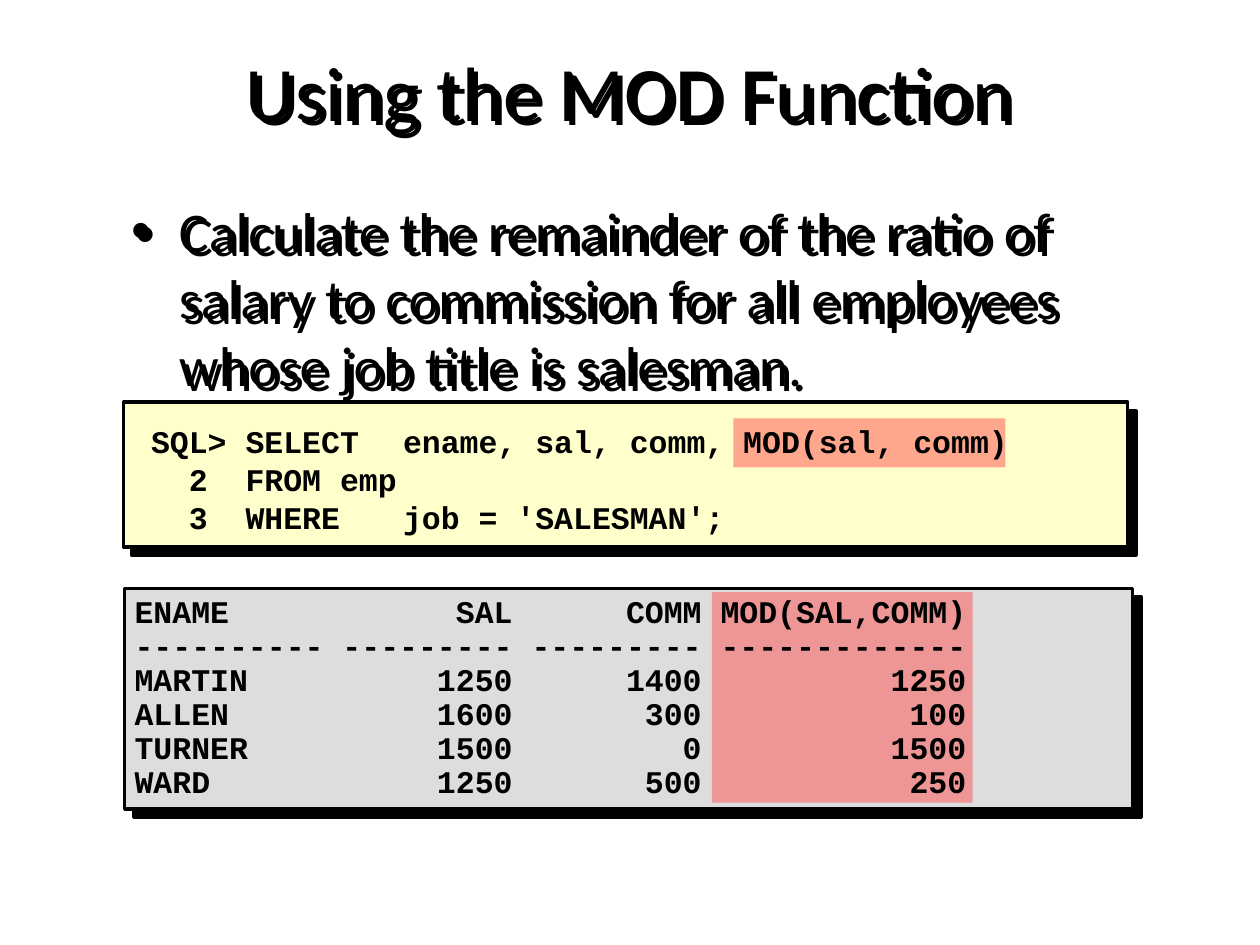
from lxml import etree
from pptx import Presentation
from pptx import util as u
from pptx.dml.color import RGBColor
from pptx.enum import shapes, text
from pptx.oxml import ns

COLORS = {"ink": "000000", "query": "FFFFCC", "result": "DDDDDD", "mark": "FF5050"}
QUERY = [
    "SQL> SELECT\tename, sal, comm, MOD(sal, comm)",
    "  2  FROM\temp",
    "  3  WHERE\tjob = 'SALESMAN';",
]
ROWS = [
    ("ENAME", "SAL", "COMM", "MOD(SAL,COMM)"),
    ("-" * 10, "-" * 9, "-" * 9, "-" * 13),
    ("MARTIN", 1250, 1400, 1250),
    ("ALLEN", 1600, 300, 100),
    ("TURNER", 1500, 0, 1500),
    ("WARD", 1250, 500, 250),
]


def rgb(name):
    return RGBColor.from_string(COLORS[name])


def add_shadow(sp, distance):
    sp.shadow.inherit = False
    effects = sp._element.spPr.find(ns.qn("a:effectLst"))
    shadow = etree.SubElement(effects, ns.qn("a:outerShdw"), dist=str(u.Pt(distance)),
                              dir="2700000", algn="ctr", rotWithShape="0")
    etree.SubElement(shadow, ns.qn("a:srgbClr"), val=COLORS["ink"])


def place(sp, box):
    sp.left, sp.top, sp.width, sp.height = map(u.Inches, box)


def format_runs(tf, font, size, bold=False):
    for p in tf.paragraphs:
        for r in p.runs:
            r.font.name = font
            r.font.size = u.Pt(size)
            r.font.bold = bold
            r.font.color.rgb = rgb("ink")


def fill_placeholder(sp, box, words, size):
    place(sp, box)
    add_shadow(sp, 3.5)
    tf = sp.text_frame
    tf.text = words
    tf.auto_size = text.MSO_AUTO_SIZE.NONE
    tf.vertical_anchor = text.MSO_ANCHOR.TOP
    format_runs(tf, "Calibri", size)
    return tf.paragraphs[0]


def add_bullet(p):
    pPr = p._p.get_or_add_pPr()
    pPr.set("marL", str(u.Inches(0.38)))
    pPr.set("indent", str(u.Inches(-0.38)))
    etree.SubElement(pPr, ns.qn("a:buChar"), char="•")
    p.space_before = u.Pt(0)


def add_rect(s, box, color):
    sp = s.shapes.add_shape(shapes.MSO_SHAPE.RECTANGLE, *map(u.Inches, box))
    sp.fill.solid()
    sp.fill.fore_color.rgb = rgb(color)
    return sp


def add_panel(s, box, color):
    sp = add_rect(s, box, color)
    sp.line.color.rgb = rgb("ink")
    sp.line.width = u.Pt(2)
    add_shadow(sp, 7.1)


def add_highlight(s, box):
    sp = add_rect(s, box, "mark")
    sp.shadow.inherit = False
    sp.line.fill.background()
    color = sp._element.spPr.find(ns.qn("a:solidFill"))[0]
    etree.SubElement(color, ns.qn("a:alpha"), val="50000")


def add_code(s, box, lines, spacing=1.0):
    tf = s.shapes.add_textbox(*map(u.Inches, box)).text_frame
    tf.word_wrap = True
    tf.text = "\n".join(lines)
    for p in tf.paragraphs:
        p.line_spacing = spacing
    format_runs(tf, "Courier New", 18, bold=True)


def main():
    """Build the slide on the MOD function."""
    prs = Presentation()
    prs.slide_width, prs.slide_height = u.Inches(10), u.Inches(7.5)
    s = prs.slides.add_slide(prs.slide_layouts[1])
    title, body = s.placeholders
    p = fill_placeholder(title, (0.5, 0.3, 9, 1.25), "Using the MOD Function", 44)
    p.alignment = text.PP_ALIGN.CENTER
    p = fill_placeholder(
        body, (0.94, 1.51, 8.08, 1.7),
        "Calculate the remainder of the ratio of salary to commission "
        "for all employees whose job title is salesman.", 32)
    add_bullet(p)
    add_panel(s, (0.99, 4.67, 8, 1.75), "result")
    add_panel(s, (0.98, 3.19, 7.97, 1.15), "query")
    add_highlight(s, (5.82, 3.32, 2.16, 0.39))
    add_highlight(s, (5.65, 4.7, 2.07, 1.67))
    add_code(s, (1.1, 3.3, 7.82, 1.54), QUERY)
    lines = ["{:<10} {:>9} {:>9} {:>13}".format(*row) for row in ROWS]
    add_code(s, (0.97, 4.68, 7.97, 1.73), lines, 0.9)
    prs.save("out.pptx")


if __name__ == "__main__":
    main()
